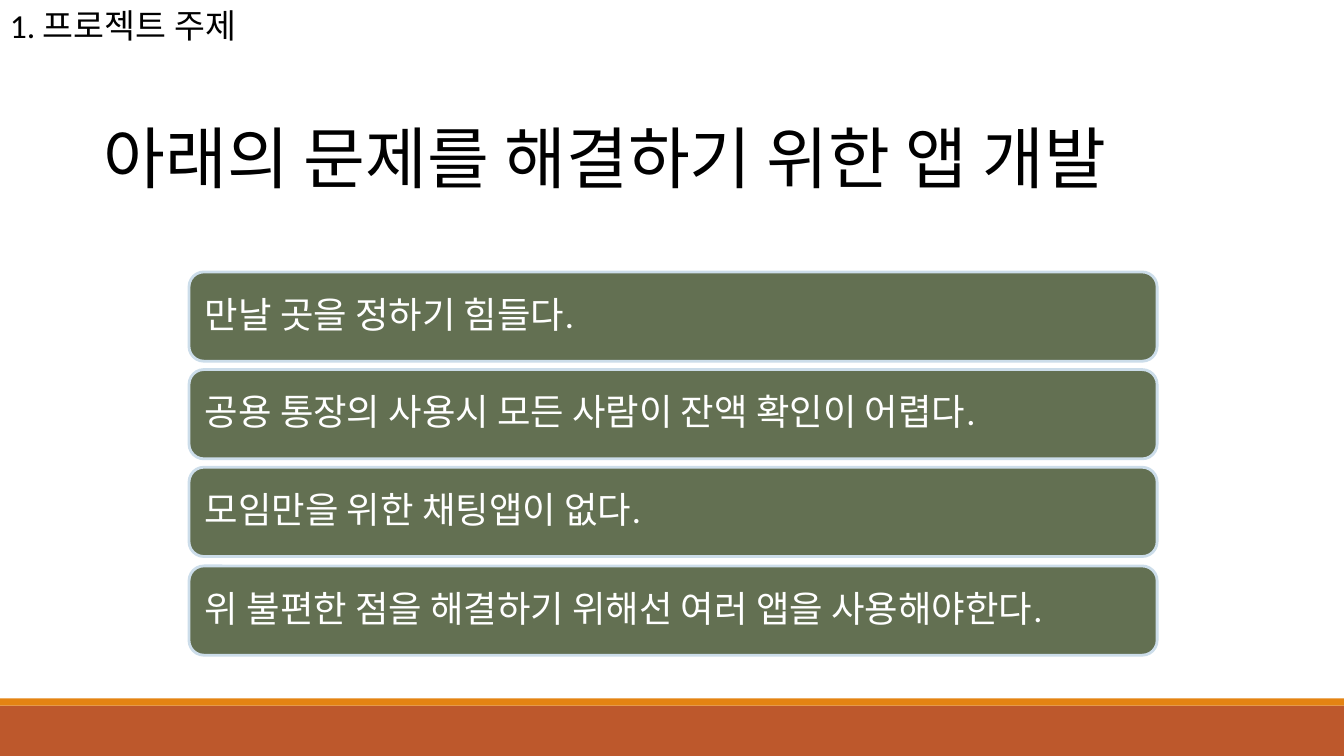
"""Build the project topic slide with four problem cards."""
from dataclasses import dataclass

from pptx import Presentation
from pptx.dml.color import RGBColor as Color
from pptx.enum.shapes import MSO_SHAPE as Kind
from pptx.enum.text import MSO_ANCHOR as Anchor, MSO_AUTO_SIZE as Fit, PP_ALIGN as Align
from pptx.util import Emu, Pt


@dataclass(frozen=True)
class Theme:
    font: str = "Calibri"
    ink: str = "000000"
    light: str = "FFFFFF"
    card: str = "637052"
    edge: str = "CCDDEA"
    band: str = "BD582C"
    strip: str = "E48312"
    head: int = 48
    label: int = 24
    item: int = 26


def px(n):
    return Emu(n * 9525)


def write(frame, text, font, size, color, anchor=Anchor.TOP, pad=None, space=1.0, wrap=True):
    frame.word_wrap = wrap
    frame.auto_size = Fit.NONE
    frame.vertical_anchor = anchor
    if pad is not None:
        frame.margin_left = frame.margin_right = px(pad)
        frame.margin_top = frame.margin_bottom = px(pad)
    para = frame.paragraphs[0]
    para.alignment = Align.LEFT
    para.line_spacing = space
    run = para.add_run()
    run.text = text
    run.font.name = font
    run.font.size = Pt(size)
    run.font.color.rgb = Color.from_string(color)


class Deck:
    def __init__(self, theme):
        self.theme = theme
        self.file = Presentation()
        self.file.slide_width, self.file.slide_height = px(1280), px(720)
        self.slide = self.file.slides.add_slide(self.file.slide_layouts[5])

    def title(self, text, *box):
        head = self.slide.shapes.title
        head.left, head.top, head.width, head.height = map(px, box)
        write(head.text_frame, text, self.theme.font, self.theme.head, self.theme.ink)

    def label(self, text, *box):
        frame = self.slide.shapes.add_textbox(*map(px, box)).text_frame
        write(frame, text, self.theme.font, self.theme.label, self.theme.ink, wrap=False)

    def block(self, kind, fill, *box, edge=None):
        shape = self.slide.shapes.add_shape(kind, *map(px, box))
        shape.shadow.inherit = False
        shape.fill.solid()
        shape.fill.fore_color.rgb = Color.from_string(fill)
        if edge:
            shape.line.color.rgb = Color.from_string(edge)
            shape.line.width = Pt(2)
        else:
            shape.line.fill.background()
        return shape

    def card(self, text, *box):
        look = self.theme
        shape = self.block(Kind.ROUNDED_RECTANGLE, look.card, *box, edge=look.edge)
        write(shape.text_frame, text, look.font, look.item, look.light,
              anchor=Anchor.MIDDLE, pad=11, space=0.9)


def main():
    theme = Theme()
    deck = Deck(theme)
    deck.block(Kind.RECTANGLE, theme.band, 0, 672, 1280, 48)
    deck.block(Kind.RECTANGLE, theme.strip, 0, 665, 1280, 7)
    deck.label("1. 프로젝트 주제", 0, 0, 261, 48)
    deck.title("아래의 문제를 해결하기 위한 앱 개발", 89, 106, 1102, 87)
    items = [
        "만날 곳을 정하기 힘들다.",
        "공용 통장의 사용시 모든 사람이 잔액 확인이 어렵다.",
        "모임만을 위한 채팅앱이 없다.",
        "위 불편한 점을 해결하기 위해선 여러 앱을 사용해야한다.",
    ]
    top, span = 259, 280
    for i, item in enumerate(items):
        deck.card(item, 180, top + i * span // 3, 922, 85)
    deck.file.save("out.pptx")


if __name__ == "__main__":
    main()
